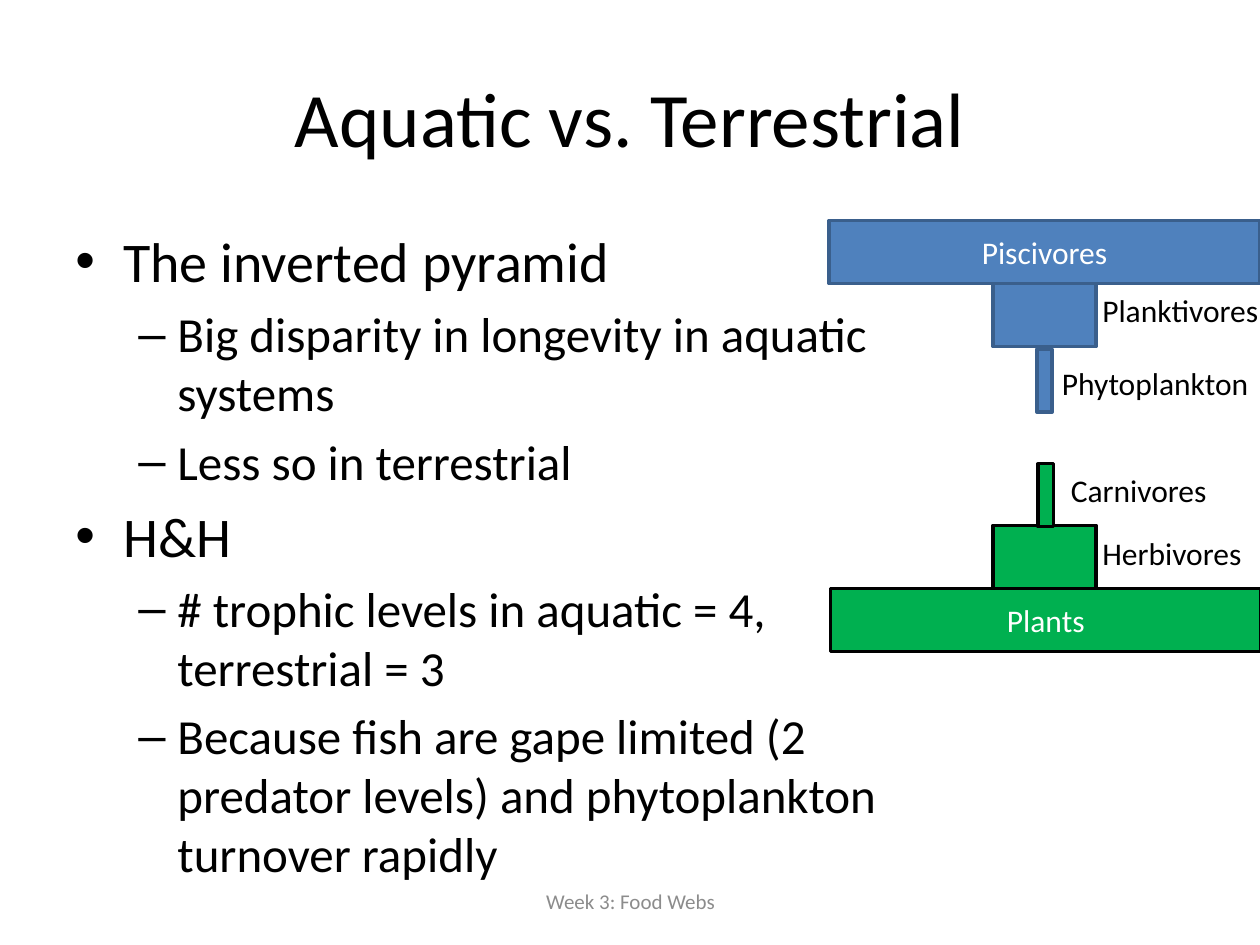
from pptx import Presentation
from pptx.dml.color import RGBColor
from pptx.enum.shapes import MSO_SHAPE as Shape
from pptx.enum.text import MSO_ANCHOR as Anchor, PP_ALIGN as Align
from pptx.oxml.xmlchemy import OxmlElement
from pptx.util import Inches, Pt

COLORS = {
    "text": "000000",
    "footer": "8C8C8C",
    "label": "FFFFFF",
    "aquatic": "4F81BD",
    "aquatic_line": "3A5F8C",
    "terrestrial": "00B050",
    "terrestrial_line": "000000",
}


def add_run(paragraph, text, size, color="text"):
    run = paragraph.add_run()
    run.text = text
    run.font.name = "Calibri"
    run.font.size = Pt(size)
    run.font.color.rgb = RGBColor.from_string(COLORS[color])


def add_text(box, text, size, color="text", align=Align.CENTER, anchor=Anchor.MIDDLE, wrap=True):
    frame = box.text_frame
    frame.word_wrap = wrap
    frame.vertical_anchor = anchor
    paragraph = frame.paragraphs[0]
    paragraph.alignment = align
    add_run(paragraph, text, size, color)


presentation = Presentation()
presentation.slide_width = Inches(10)
presentation.slide_height = Inches(7.5)
slide = presentation.slides.add_slide(presentation.slide_layouts[6])
shapes = slide.shapes

# Title and footer
title = shapes.add_textbox(Inches(0.5), Inches(0.3), Inches(9), Inches(1.25))
add_text(title, "Aquatic vs. Terrestrial", 44)
footer = shapes.add_textbox(Inches(3.42), Inches(6.95), Inches(3.17), Inches(0.4))
add_text(footer, "Week 3: Food Webs", 12, "footer")

# Bulleted body: level, text
points = [
    (0, "The inverted pyramid"),
    (1, "Big disparity in longevity in aquatic systems"),
    (1, "Less so in terrestrial"),
    (0, "H&H"),
    (1, "# trophic levels in aquatic = 4, terrestrial = 3"),
    (1, "Because fish are gape limited (2 predator levels) and phytoplankton turnover rapidly"),
]
# Size, left margin, hanging indent and bullet of each level
levels = [(32, 0.38, -0.38, "•"), (28, 0.81, -0.31, "–")]

body = shapes.add_textbox(Inches(0.5), Inches(1.75), Inches(7.08), Inches(4.95))
frame = body.text_frame
frame.word_wrap = True
for index, (level, text) in enumerate(points):
    size, margin, indent, bullet = levels[level]
    paragraph = frame.add_paragraph() if index else frame.paragraphs[0]
    paragraph.level = level
    paragraph.space_before = Pt(size * 0.2)
    properties = paragraph._p.get_or_add_pPr()
    properties.set("marL", str(Inches(margin)))
    properties.set("indent", str(Inches(indent)))
    bullet_font = OxmlElement("a:buFont")
    bullet_font.set("typeface", "Arial")
    bullet_char = OxmlElement("a:buChar")
    bullet_char.set("char", bullet)
    properties.append(bullet_font)
    properties.append(bullet_char)
    add_run(paragraph, text, size)

# Pyramid blocks: group, left, top, width, inside label
blocks = [
    ("aquatic", 6.58, 1.75, 3.42, "Piscivores"),
    ("aquatic", 7.88, 2.25, 0.82, None),
    ("aquatic", 8.23, 2.77, 0.12, None),
    ("terrestrial", 6.59, 4.67, 3.42, "Plants"),
    ("terrestrial", 7.88, 4.17, 0.82, None),
    ("terrestrial", 8.24, 3.68, 0.12, None),
]
for group, left, top, width, label in blocks:
    block = shapes.add_shape(Shape.RECTANGLE, Inches(left), Inches(top), Inches(width), Inches(0.5))
    block.shadow.inherit = False
    block.fill.solid()
    block.fill.fore_color.rgb = RGBColor.from_string(COLORS[group])
    block.line.color.rgb = RGBColor.from_string(COLORS[group + "_line"])
    block.line.width = Pt(2)
    if label:
        add_text(block, label, 18, "label")

# Labels beside the narrow blocks
side_labels = [
    ("Planktivores", 8.65, 2.26, 1.45),
    ("Phytoplankton", 8.33, 2.84, 1.7),
    ("Herbivores", 8.65, 4.19, 1.32),
    ("Carnivores", 8.4, 3.69, 1.29),
]
for text, left, top, width in side_labels:
    box = shapes.add_textbox(Inches(left), Inches(top), Inches(width), Inches(0.4))
    add_text(box, text, 18, align=Align.LEFT, anchor=Anchor.TOP, wrap=False)

presentation.save("out.pptx")
